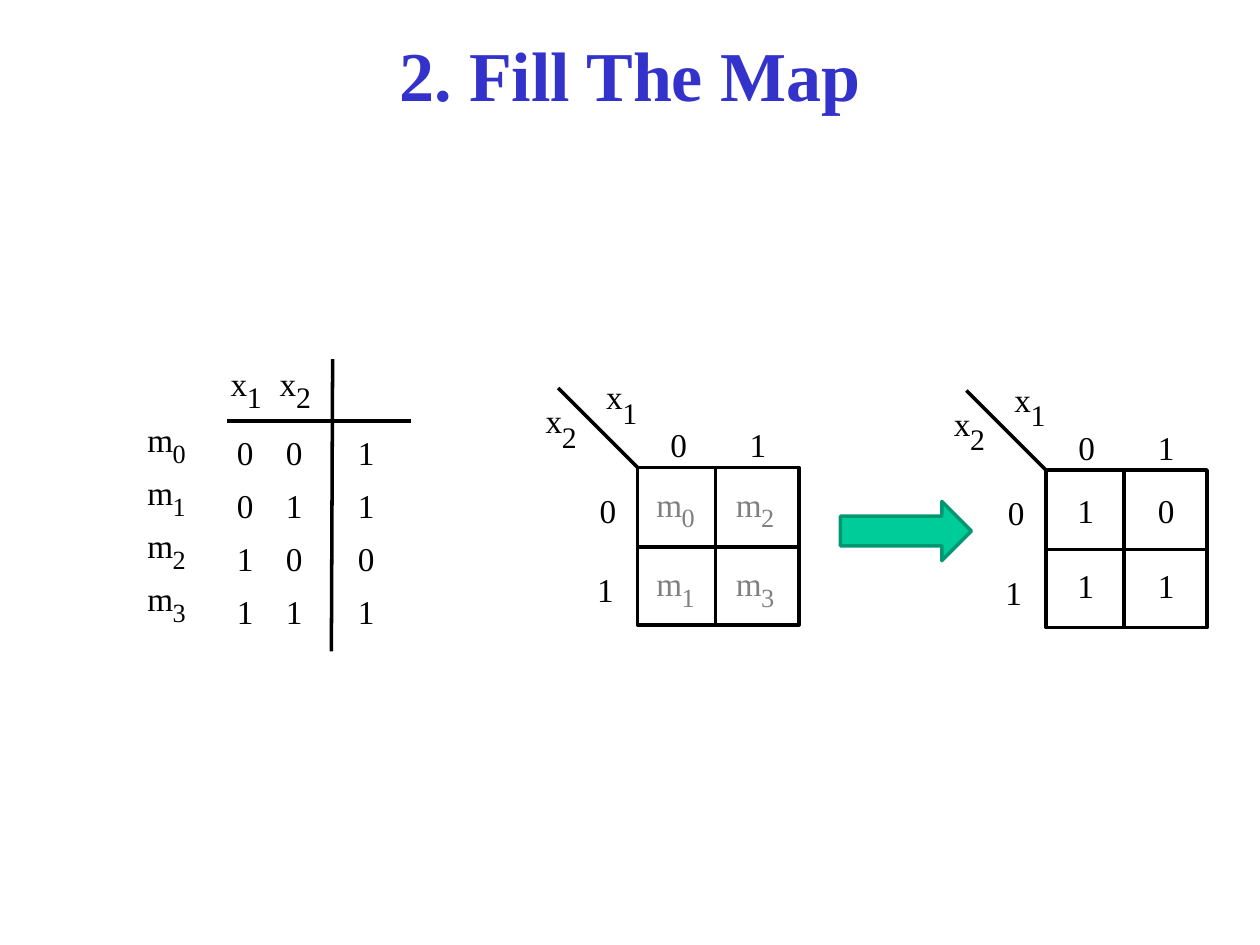
from lxml import etree
from pptx import Presentation
from pptx.dml.color import RGBColor
from pptx.enum import shapes, text
from pptx.oxml.ns import qn
from pptx.util import Inches, Pt

BLACK = RGBColor(0x00, 0x00, 0x00)
WHITE = RGBColor(0xFF, 0xFF, 0xFF)
GREY = RGBColor(0x80, 0x80, 0x80)
BLUE = RGBColor(0x33, 0x33, 0xCC)
GREEN = RGBColor(0x00, 0xCC, 0x99)
DARK_GREEN = RGBColor(0x00, 0x97, 0x71)

prs = Presentation()
prs.slide_width, prs.slide_height = Inches(10), Inches(7.5)
s = prs.slides.add_slide(prs.slide_layouts[6])


def label(x, y, w, txt, size=19, color=BLACK):
    tb = s.shapes.add_textbox(Inches(x), Inches(y), Inches(w), Inches(size / 60))
    tf = tb.text_frame
    tf.margin_left = tf.margin_right = tf.margin_top = tf.margin_bottom = 0
    tf.word_wrap = False
    tf.auto_size = text.MSO_AUTO_SIZE.SHAPE_TO_FIT_TEXT
    p = tf.paragraphs[0]
    p.text = txt
    p.font.name, p.font.size, p.font.color.rgb = "Times New Roman", Pt(size), color
    return tb


def line(x1, y1, x2, y2):
    ln = s.shapes.add_connector(shapes.MSO_CONNECTOR.STRAIGHT,
                                Inches(x1), Inches(y1), Inches(x2), Inches(y2))
    ln.line.color.rgb, ln.line.width = BLACK, Pt(2)
    etree.SubElement(ln._element.spPr, qn("a:effectLst"))


# Title
tb = label(0.25, 0.25, 9.5, "2. Fill The Map", 40, BLUE)
tf = tb.text_frame
tf.auto_size, tf.word_wrap = text.MSO_AUTO_SIZE.NONE, True
tf.vertical_anchor = text.MSO_ANCHOR.MIDDLE
tb.height = Inches(0.67)
p = tf.paragraphs[0]
p.alignment, p.font.bold = text.PP_ALIGN.CENTER, True

# Truth table: rules, headings, then one row per minterm
line(3.26, 3.34, 1.8, 3.34)
line(2.63, 5.17, 2.64, 2.85)
for x, sub in ((1.83, "1"), (2.22, "2")):
    label(x, 2.88, 0.18, "x")
    label(x + 0.13, 3.01, 0.18, sub, 17)
for i, (x1, x2, f) in enumerate(("001", "011", "100", "111")):
    y = 3.43 + 0.42 * i
    label(1.17, y - 0.1, 0.26, "m")
    label(1.37, y + 0.04, 0.16, str(i), 15)
    label(1.88, y, 0.2, x1)
    label(2.27, y, 0.2, x2)
    label(2.84, y, 0.22, f)

# Map frames with their axis labels
CELL = 0.63
for x, y in ((5.06, 3.71), (8.3, 3.73)):
    sp = s.shapes.add_shape(shapes.MSO_SHAPE.RECTANGLE,
                            Inches(x), Inches(y), Inches(1.28), Inches(1.25))
    sp.shadow.inherit = False
    sp.fill.solid()
    sp.fill.fore_color.rgb = WHITE
    sp.line.color.rgb, sp.line.width = BLACK, Pt(2)
    line(x + 1.28, y + CELL, x, y + CELL)
    line(x + 0.62, y + 1.25, x + 0.62, y)
    line(x - CELL, y - CELL, x, y)
    for dx, dy, sub in ((-0.73, -0.53, "2"), (-0.25, -0.72, "1")):
        label(x + dx, y + dy, 0.18, "x")
        label(x + dx + 0.13, y + dy + 0.14, 0.18, sub, 17)
    for i in range(2):
        label(x - 0.3 - 0.02 * i, y + 0.18 + CELL * i, 0.2, str(i))
        label(x + 0.26 + CELL * i, y - 0.34, 0.2, str(i))

# Map contents: minterm names on the left, values on the right
for i, value in enumerate("1101"):
    col, row = divmod(i, 2)
    x, y = 5.21 + CELL * col, 3.84 + CELL * row
    label(x, y, 0.3, "m", color=GREY)
    label(x + 0.2, y + 0.14, 0.18, str(i), 15, GREY)
    label(8.55 + 0.64 * col, 3.89 + 0.6 * row, 0.15, value)

# Arrow between the maps
sp = s.shapes.add_shape(shapes.MSO_SHAPE.RIGHT_ARROW,
                        Inches(6.67), Inches(3.98), Inches(1.04), Inches(0.47))
sp.shadow.inherit = False
sp.fill.solid()
sp.fill.fore_color.rgb = GREEN
sp.line.color.rgb, sp.line.width = DARK_GREEN, Pt(2)

prs.save("out.pptx")
